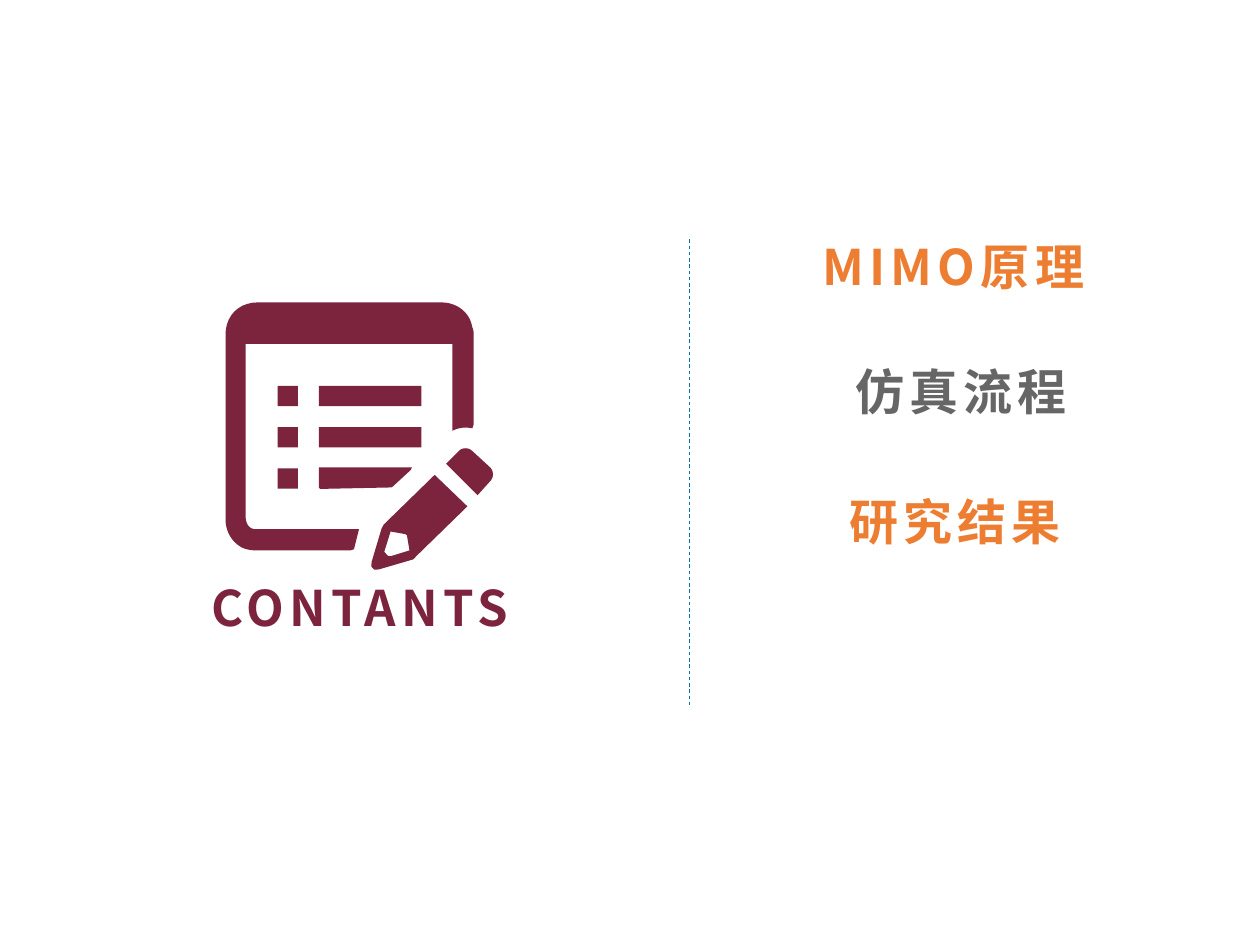
"""Build a contents slide with a notepad icon, a divider and three topics."""
from dataclasses import dataclass

from lxml.etree import SubElement
from pptx import Presentation
from pptx.dml.color import RGBColor
from pptx.enum.dml import MSO_LINE_DASH_STYLE as Dash
from pptx.enum.shapes import MSO_CONNECTOR as Conn, MSO_SHAPE as Shape
from pptx.enum.text import MSO_ANCHOR as Anchor, MSO_AUTO_SIZE as AutoSize, PP_ALIGN as Align
from pptx.oxml.ns import qn
from pptx.util import Pt

MAROON = RGBColor(0x7C, 0x23, 0x3E)
ORANGE = RGBColor(0xED, 0x7D, 0x31)
GRAY = RGBColor(0x66, 0x66, 0x66)
BLUE = RGBColor(0x01, 0x74, 0xAB)
FONT = "Noto Sans CJK SC"
STEPS = 10
BULLET_X, BAR_X, ROW_Y, ROW_PITCH = 158.6, 182.2, 220.5, 23.6
BULLET_W, BAR_W, ROW_H = 11.6, 58.6, 11.6


@dataclass(frozen=True)
class Topic:
    text: str
    left: float
    top: float
    width: float
    color: RGBColor


TOPICS = (
    Topic("MIMO原理", 463, 131.8, 187.2, ORANGE),
    Topic("仿真流程", 481.7, 203, 141.1, GRAY),
    Topic("研究结果", 478.1, 277.2, 141.1, ORANGE),
)

Contour = tuple[tuple[float, ...], ...]

FRAME: Contour = (
    (205.2, 302.4), (202.3, 313.9), (200.2, 314.6), (147.6, 314.6),
    (144, 314.6, 140.4, 314.2, 137.5, 312.5), (131.8, 308.9, 128.9, 303.1, 128.9, 296.6),
    (128.9, 191.5), (128.9, 180.7, 136.1, 172.8, 147.6, 172.8),
    (252, 172.8), (261.4, 172.8, 268.6, 178.6, 270, 187.2),
    (270.7, 188.6, 270.7, 190.1, 270.7, 191.5), (270.7, 242.6), (270, 244.8),
    (266.4, 244.1, 262.8, 244.1, 258.5, 246.2), (258.5, 196.6),
    (140.4, 196.6), (140.4, 295.2), (140.4, 299.5, 142.6, 303.1, 147.6, 302.4),
)
PENCIL: Contour = (
    (248.4, 271.4), (267.1, 289.4), (238.3, 317.5), (236.2, 319.7), (216.7, 325.4),
    (215.3, 325.4, 213.8, 326.2, 213.1, 324.7), (211.7, 324, 212.4, 322.6, 212.4, 321.1),
    (218.2, 301.7), (218.9, 301, 218.9, 300.2, 219.6, 299.5),
)
NIB: Contour = (
    (223.2, 303.8), (219.6, 315.4), (220.3, 316.1),
    (221.8, 318.2, 222.5, 318.2, 224.6, 317.5), (234, 314.6), (232.6, 306), (231.8, 305.3),
)
ERASER: Contour = (
    (254.9, 265), (262.1, 257.8), (264.2, 255.6, 267.8, 255.6, 270, 257.8),
    (280.1, 267.1), (282.2, 269.3, 282.2, 272.9, 280.1, 275), (272.9, 283),
)
CUT_BAR: Contour = (
    (182.2, 267.1), (235.4, 267.1), (234.7, 268.6), (224.6, 277.9),
    (223.9, 278.6, 223.2, 278.6, 222.5, 278.6), (182.9, 279.4), (182.2, 278.6),
)


def flatten(contour: Contour) -> list[tuple[Pt, Pt]]:
    points: list[tuple[float, ...]] = []
    for seg in contour:
        if len(seg) == 2:
            points.append(seg)
            continue
        a, b, c, d = points[-1], seg[:2], seg[2:4], seg[4:]
        for i in range(1, STEPS + 1):
            t = i / STEPS
            u = 1 - t
            points.append(tuple(
                u**3 * a[k] + 3 * u * u * t * b[k] + 3 * u * t * t * c[k] + t**3 * d[k]
                for k in (0, 1)
            ))
    return [(Pt(x), Pt(y)) for x, y in points]


def paint(sp) -> None:
    sp.shadow.inherit = False
    sp.fill.solid()
    sp.fill.fore_color.rgb = MAROON
    sp.line.fill.background()


def add_outline(shapes, *contours: Contour) -> None:
    first, *holes = [flatten(c) for c in contours]
    fb = shapes.build_freeform(*first[0])
    fb.add_line_segments(first[1:], close=True)
    for hole in holes:
        fb.move_to(*hole[0])
        fb.add_line_segments(hole[1:], close=True)
    paint(fb.convert_to_shape())


def add_block(shapes, left: float, top: float, width: float) -> None:
    paint(shapes.add_shape(Shape.RECTANGLE, Pt(left), Pt(top), Pt(width), Pt(ROW_H)))


def add_icon(s) -> None:
    shapes = s.shapes.add_group_shape().shapes
    add_outline(shapes, FRAME)
    add_outline(shapes, PENCIL, NIB)
    add_outline(shapes, ERASER)
    add_outline(shapes, CUT_BAR)
    for row in range(3):
        top = ROW_Y + row * ROW_PITCH
        add_block(shapes, BULLET_X, top, BULLET_W)
        if row < 2:
            add_block(shapes, BAR_X, top, BAR_W)


def write(sp, text: str, color: RGBColor, align: Align) -> None:
    tf = sp.text_frame
    tf.word_wrap = True
    tf.auto_size = AutoSize.SHAPE_TO_FIT_TEXT
    tf.vertical_anchor = Anchor.TOP
    p = tf.paragraphs[0]
    p.alignment = align
    r = p.add_run()
    r.text = text
    r.font.name = FONT
    r.font.size = Pt(28)
    r.font.bold = True
    r.font.color.rgb = color
    rPr = r.font._element
    rPr.set("spc", "300")
    SubElement(rPr, qn("a:ea")).set("typeface", FONT)


def add_topic(s, topic: Topic) -> None:
    sp = s.shapes.add_textbox(Pt(topic.left), Pt(topic.top), Pt(topic.width), Pt(41))
    write(sp, topic.text, topic.color, Align.LEFT)


def add_divider(s) -> None:
    line = s.shapes.add_connector(Conn.STRAIGHT, Pt(393.8), Pt(136.8), Pt(393.8), Pt(403.2))
    line.line.color.rgb = BLUE
    line.line.width = Pt(0.5)
    line.line.dash_style = Dash.DASH
    SubElement(line._element.spPr, qn("a:effectLst"))


def add_title(s) -> None:
    title = s.shapes.title
    title.left, title.top, title.width, title.height = Pt(100.8), Pt(326.2), Pt(209.5), Pt(41)
    write(title, "CONTANTS", MAROON, Align.CENTER)


def main() -> None:
    prs = Presentation()
    prs.slide_width, prs.slide_height = Pt(720), Pt(540)
    s = prs.slides.add_slide(prs.slide_layouts[5])
    add_divider(s)
    for topic in TOPICS:
        add_topic(s, topic)
    add_icon(s)
    add_title(s)
    prs.save("out.pptx")


if __name__ == "__main__":
    main()
